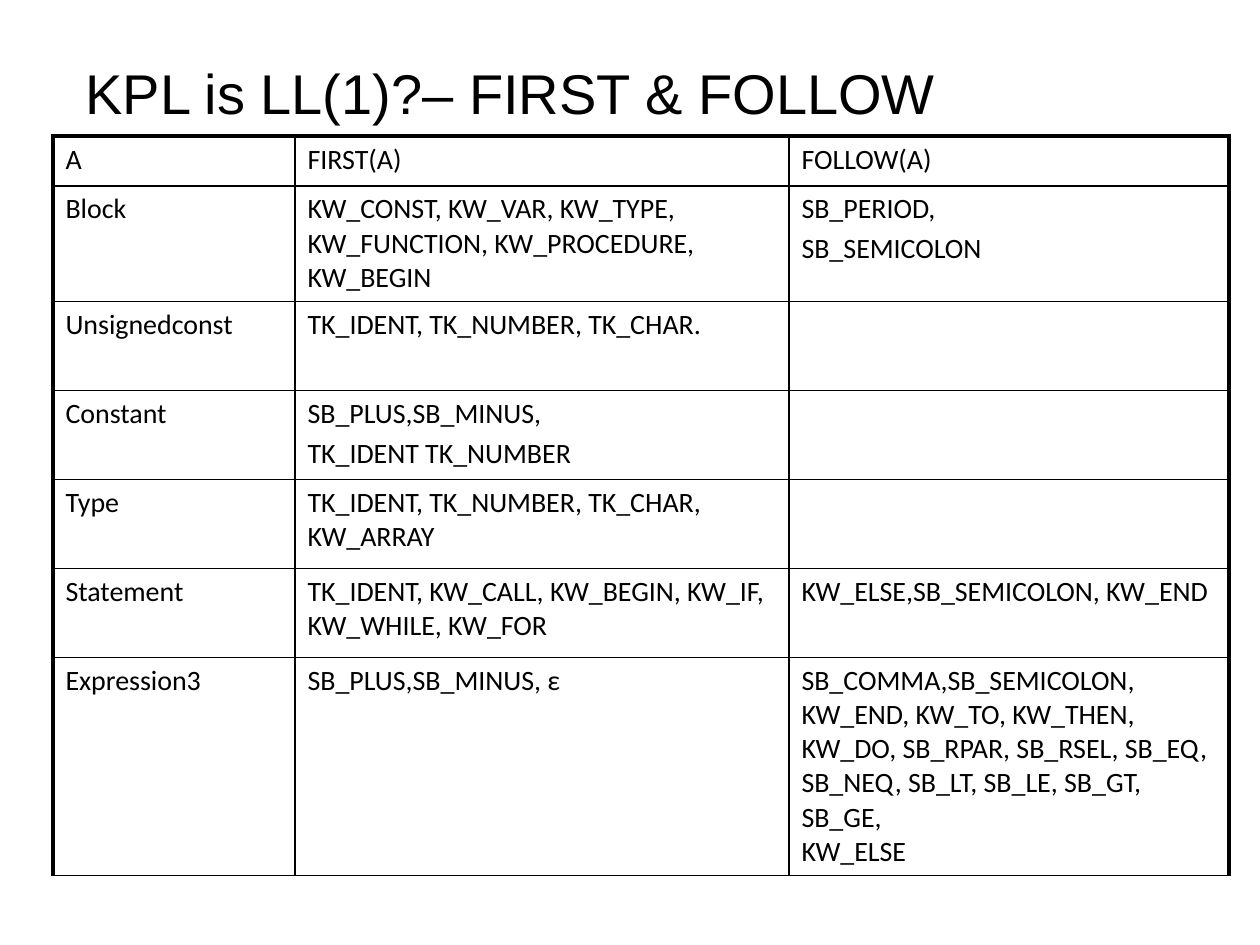
from dataclasses import dataclass
from lxml import etree
from pptx import Presentation
from pptx.dml.color import RGBColor
from pptx.enum.text import MSO_ANCHOR, PP_ALIGN
from pptx.oxml.ns import qn
from pptx.util import Emu, Pt

BOTTOM = MSO_ANCHOR.BOTTOM
LEFT = PP_ALIGN.LEFT
PX = 914400 // 126


@dataclass(frozen=True)
class Theme:
    ink: str = "000000"
    title_font: str = "Arial"
    title_size: int = 32
    body_font: str = "Calibri"
    body_size: int = 16
    para_gap: float = 3.2
    thin: float = 1
    thick: float = 2.25


THEME = Theme()
TITLE = "KPL is LL(1)?– FIRST & FOLLOW"
TITLE_BOX = (73, 53, 1144, 79)
TABLE_BOX = (53, 136, 1176, 734)
COLUMNS = [242, 494, 440]
ROW_HEIGHTS = [50, 114, 89, 89, 89, 89, 214]
TIGHT_ROW = len(ROW_HEIGHTS) - 1
ROWS = [
    ("A", "FIRST(A)", "FOLLOW(A)"),
    ("Block",
     "KW_CONST, KW_VAR, KW_TYPE, KW_FUNCTION, KW_PROCEDURE, KW_BEGIN",
     "SB_PERIOD,\nSB_SEMICOLON"),
    ("Unsignedconst", "TK_IDENT, TK_NUMBER, TK_CHAR.", ""),
    ("Constant", "SB_PLUS,SB_MINUS,\nTK_IDENT TK_NUMBER", ""),
    ("Type", "TK_IDENT, TK_NUMBER, TK_CHAR, KW_ARRAY", ""),
    ("Statement",
     "TK_IDENT, KW_CALL, KW_BEGIN, KW_IF, KW_WHILE, KW_FOR",
     "KW_ELSE,SB_SEMICOLON, KW_END"),
    ("Expression3", "SB_PLUS,SB_MINUS, ε",
     "SB_COMMA,SB_SEMICOLON, KW_END, KW_TO, KW_THEN, KW_DO, SB_RPAR, "
     "SB_RSEL, SB_EQ, SB_NEQ, SB_LT, SB_LE, SB_GT, SB_GE,\nKW_ELSE"),
]


def px(n):
    return Emu(n * PX)


def write(tf, text, font, size, gap=0):
    for i, line in enumerate(text.split("\n")):
        p = tf.add_paragraph() if i else tf.paragraphs[0]
        p.alignment = LEFT
        if i:
            p.space_before = Pt(gap)
        r = p.add_run()
        r.text = line
        for name, value in {"name": font, "size": Pt(size), "bold": False}.items():
            setattr(r.font, name, value)
        r.font.color.rgb = RGBColor.from_string(THEME.ink)


def set_borders(cell, widths):
    tc_pr = cell._tc.get_or_add_tcPr()
    for side, width in widths.items():
        ln = etree.SubElement(tc_pr, qn(f"a:ln{side}"), w=str(Pt(width)))
        fill = etree.SubElement(ln, qn("a:solidFill"))
        etree.SubElement(fill, qn("a:srgbClr"), val=THEME.ink)


def add_title(s, box):
    tb = s.shapes.add_textbox(*map(px, box))
    tf = tb.text_frame
    for name, value in {"word_wrap": True, "vertical_anchor": BOTTOM}.items():
        setattr(tf, name, value)
    write(tf, TITLE, THEME.title_font, THEME.title_size)


def add_sets_table(s, box):
    table = s.shapes.add_table(len(ROWS), len(COLUMNS), *map(px, box)).table
    for name in ("first_row", "horz_banding"):
        setattr(table, name, False)
    for col, width in zip(table.columns, COLUMNS):
        col.width = px(width)
    for row, height in zip(table.rows, ROW_HEIGHTS):
        row.height = px(height)
    last = len(COLUMNS) - 1
    for i, texts in enumerate(ROWS):
        gap = 0 if i == TIGHT_ROW else THEME.para_gap
        for j, text in enumerate(texts):
            cell = table.cell(i, j)
            set_borders(cell, {
                "L": THEME.thick if j == 0 else THEME.thin,
                "R": THEME.thick if j == last else THEME.thin,
                "T": THEME.thick if i == 0 else THEME.thin,
                "B": THEME.thin,
            })
            cell.fill.background()
            if text:
                write(cell.text_frame, text, THEME.body_font, THEME.body_size, gap)


def main():
    prs = Presentation()
    prs.slide_width, prs.slide_height = px(1260), px(945)
    s = prs.slides.add_slide(prs.slide_layouts[6])
    add_sets_table(s, TABLE_BOX)
    add_title(s, TITLE_BOX)
    prs.save("out.pptx")


if __name__ == "__main__":
    main()
